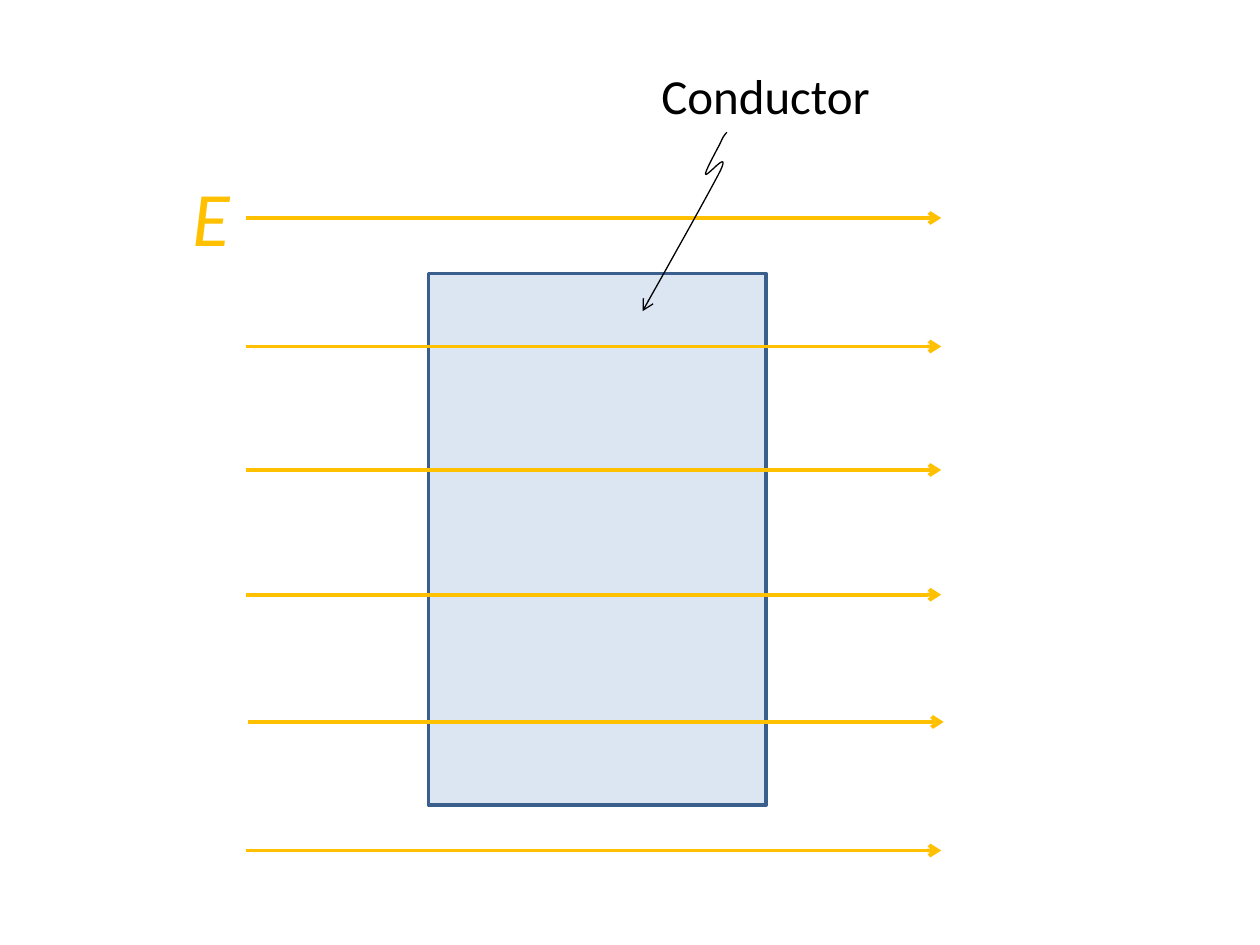
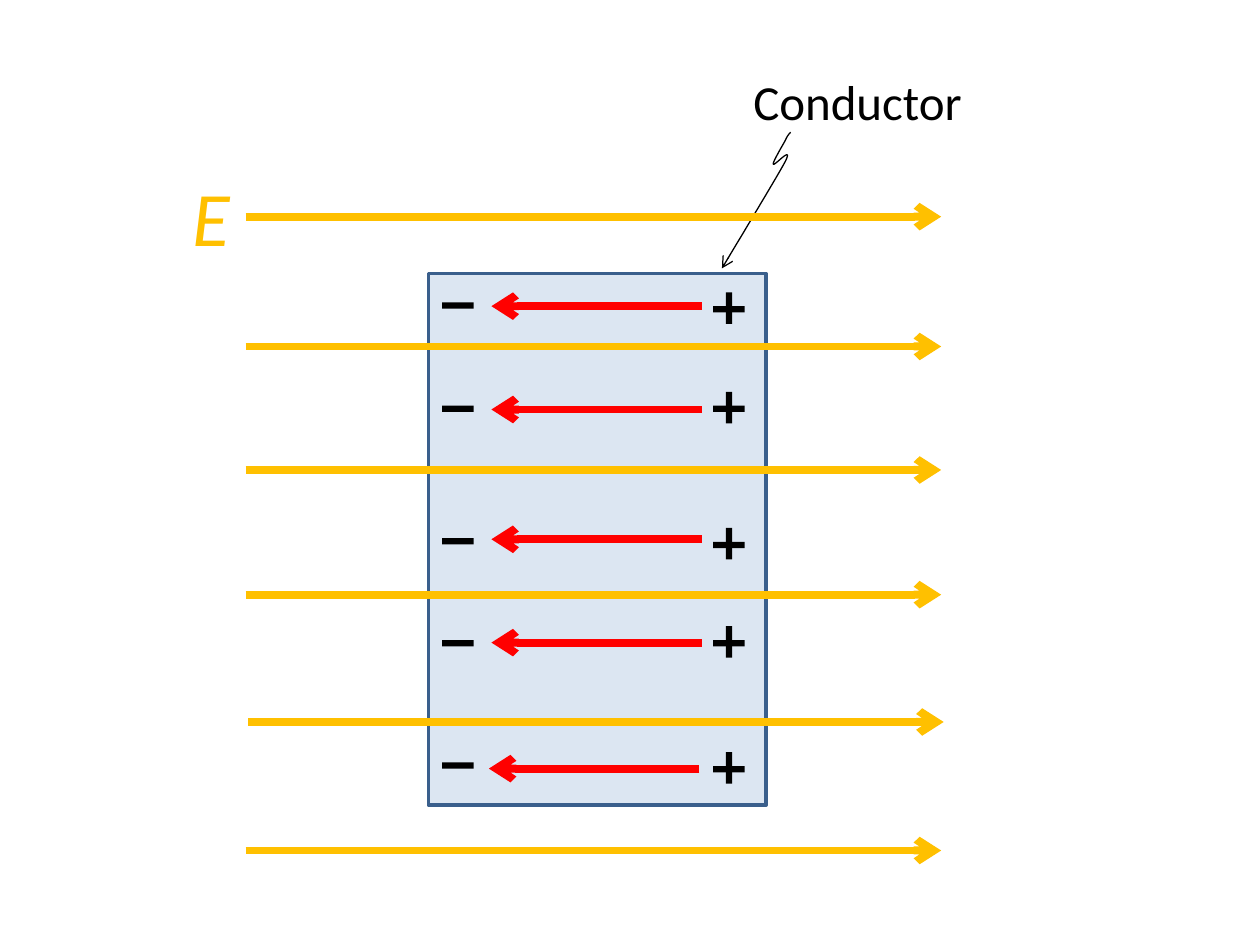
from lxml.etree import SubElement
from pptx import Presentation
from pptx.dml.color import RGBColor
from pptx.enum.shapes import MSO_CONNECTOR, MSO_SHAPE
from pptx.enum.text import MSO_AUTO_SIZE
from pptx.oxml.ns import qn
from pptx.util import Pt

EMU_PER_PX = 9144  # 100 px to the inch
FONT = "Calibri"
COLORS = {
    "field": "FFC000",
    "induced": "FF0000",
    "conductor": "DCE6F2",
    "conductor_edge": "3A5F8C",
    "ink": "000000",
}

CONDUCTOR_BOX = (340, 217, 268, 422)
FIELD_LEFT, FIELD_LENGTH = 195, 552
# (height on the slide, shift to the right) of the lines below the top one
LOWER_FIELD_LINES = [(275, 0), (373, 0), (472, 0), (573, 2), (675, 0)]

# Offsets from the conductor's top: minus bar, plus bar, arrow; then arrow shift
CHARGE_ROWS = [
    (23, 26, 26, 0),
    (105, 105, 108, 0),
    (210, 213, 211, 0),
    (291, 291, 293, 0),
    (388, 391, 393, -2),
]
BAR_WIDTH, BAR_HEIGHT = 25, 5

# Zigzag pointer on a 70 x 142 grid: a start, then cubic Bezier curves
POINTER_GRID = (70, 142)
POINTER_START = (67, 0)
POINTER_CURVES = [
    ((66, 1), (64, 3), (62, 8)),
    ((59, 14), (50, 30), (50, 33)),
    ((50, 37), (70, 12), (62, 30)),
    ((53, 48), (0, 142), (0, 142)),
]
CURVE_STEPS = 16


def px(value):
    return round(value * EMU_PER_PX)


def color(name):
    return RGBColor.from_string(COLORS[name])


def style_arrow(shape, color_name, width):
    """Set the line of a connector or freeform and put a head at its end."""
    shape.line.color.rgb = color(color_name)
    shape.line.width = Pt(width)
    line = shape._element.spPr.find(qn("a:ln"))
    SubElement(line, qn("a:tailEnd"), type="arrow")


def add_arrow(slide, start_x, end_x, y, color_name, width):
    connector = slide.shapes.add_connector(
        MSO_CONNECTOR.STRAIGHT, px(start_x), px(y), px(end_x), px(y)
    )
    style_arrow(connector, color_name, width)
    SubElement(connector._element.spPr, qn("a:effectLst"))


def add_rectangle(slide, box, fill):
    shape = slide.shapes.add_shape(MSO_SHAPE.RECTANGLE, *map(px, box))
    shape.shadow.inherit = False
    shape.fill.solid()
    shape.fill.fore_color.rgb = color(fill)
    shape.line.fill.background()
    return shape


def add_label(slide, box, text, size, color_name, italic=False):
    frame = slide.shapes.add_textbox(*map(px, box)).text_frame
    frame.word_wrap = False
    frame.auto_size = MSO_AUTO_SIZE.SHAPE_TO_FIT_TEXT
    paragraph = frame.paragraphs[0]
    paragraph.text = text
    paragraph.font.name = FONT
    paragraph.font.size = Pt(size)
    paragraph.font.italic = italic
    paragraph.font.color.rgb = color(color_name)


def add_conductor(slide):
    shape = add_rectangle(slide, CONDUCTOR_BOX, "conductor")
    shape.line.color.rgb = color("conductor_edge")
    shape.line.width = Pt(2)


def add_field(slide, top, width):
    """Draw the external field lines and their symbol."""
    for y, shift in [(top, 0), *LOWER_FIELD_LINES]:
        left = FIELD_LEFT + shift
        add_arrow(slide, left, left + FIELD_LENGTH, y, "field", width)
    add_label(slide, (143, 130, 50, 84), "E", 44, "field", italic=True)


def bezier_point(points, t):
    weights = ((1 - t) ** 3, 3 * t * (1 - t) ** 2, 3 * t**2 * (1 - t), t**3)
    return tuple(
        sum(weight * value for weight, value in zip(weights, axis))
        for axis in zip(*points)
    )


def pointer_outline():
    outline = [POINTER_START]
    for curve in POINTER_CURVES:
        points = (outline[-1], *curve)
        outline += [
            bezier_point(points, step / CURVE_STEPS)
            for step in range(1, CURVE_STEPS + 1)
        ]
    return outline


def add_pointer(slide, box):
    left, top, width, height = box
    grid_width, grid_height = POINTER_GRID
    outline = [
        (px(left + x * width / grid_width), px(top + y * height / grid_height))
        for x, y in pointer_outline()
    ]
    builder = slide.shapes.build_freeform(*outline[0])
    builder.add_line_segments(outline[1:], close=False)
    shape = builder.convert_to_shape()
    shape.shadow.inherit = False
    shape.fill.background()
    style_arrow(shape, "ink", 0.75)


def add_callout(slide, label_left, label_top, pointer_box):
    add_label(slide, (label_left, label_top, 188, 57), "Conductor", 28, "ink")
    add_pointer(slide, pointer_box)


def add_charges(slide):
    """Draw the separated charges and the induced field between them."""
    left, top, _, _ = CONDUCTOR_BOX
    minus_left, plus_left = left + 11, left + 226
    for minus, plus, arrow, shift in CHARGE_ROWS:
        bars = [
            (minus_left, top + minus, 0),
            (plus_left, top + plus, 0),
            (plus_left, top + plus - 1, 90),
        ]
        for bar_left, bar_top, rotation in bars:
            bar_box = (bar_left, bar_top, BAR_WIDTH, BAR_HEIGHT)
            add_rectangle(slide, bar_box, "ink").rotation = rotation
        add_arrow(
            slide, left + 217 + shift, left + 50 + shift, top + arrow, "induced", 4.5
        )


def add_blank_slide(presentation):
    return presentation.slides.add_slide(presentation.slide_layouts[6])


def add_applied_field_slide(presentation):
    slide = add_blank_slide(presentation)
    add_conductor(slide)
    add_field(slide, top=173, width=2.25)
    add_callout(slide, 515, 47, (510, 105, 70, 142))


def add_induced_field_slide(presentation):
    slide = add_blank_slide(presentation)
    add_conductor(slide)
    add_callout(slide, 588, 52, (573, 105, 57, 108))
    add_charges(slide)
    add_field(slide, top=172, width=4.5)


def main():
    presentation = Presentation()
    presentation.slide_width = px(1000)
    presentation.slide_height = px(750)
    add_applied_field_slide(presentation)
    add_induced_field_slide(presentation)
    presentation.save("out.pptx")


if __name__ == "__main__":
    main()
